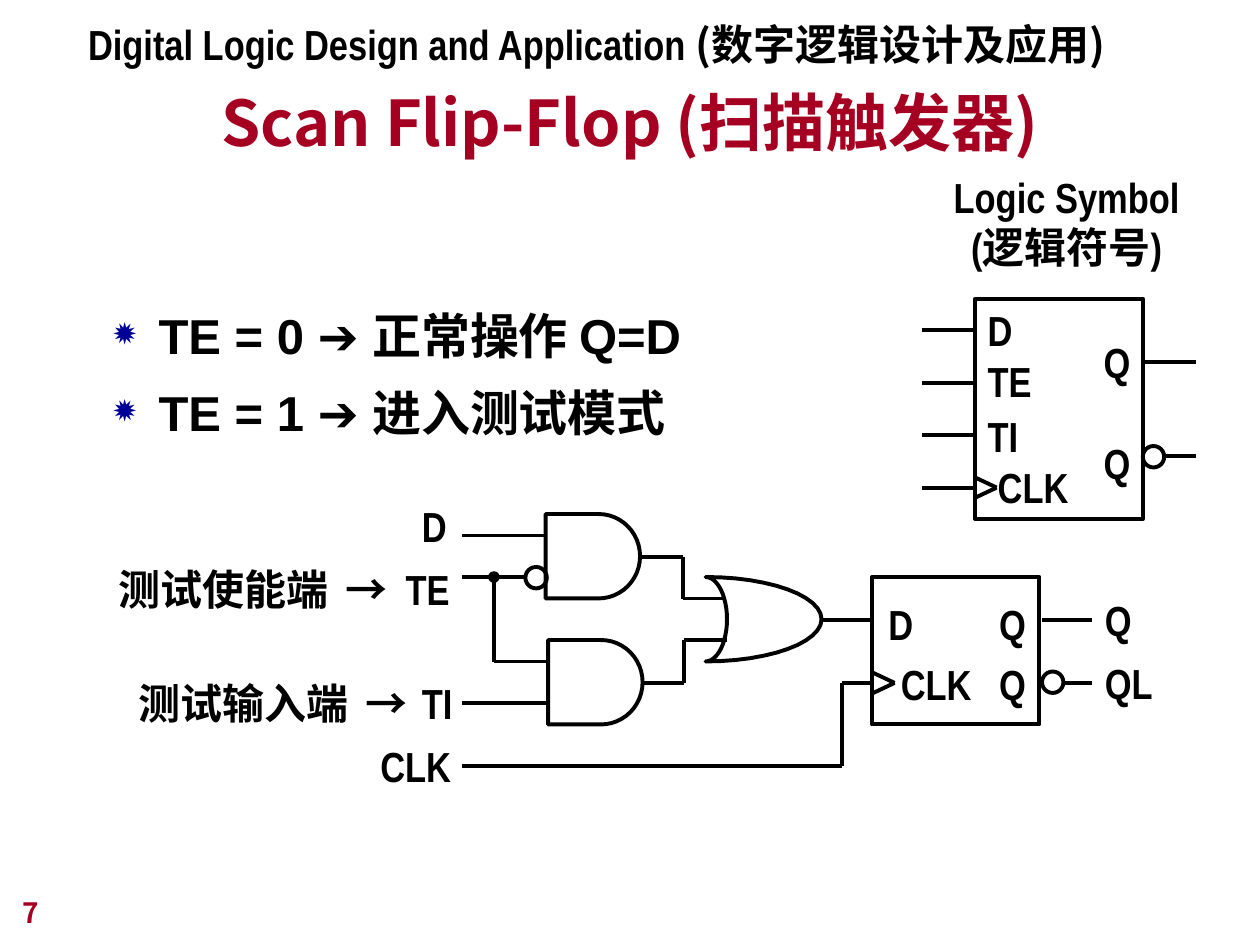
from math import cos, pi, sin

from lxml import etree
from pptx import Presentation
from pptx.dml.color import RGBColor
from pptx.enum.shapes import MSO_CONNECTOR as Connector, MSO_SHAPE as Shape
from pptx.enum.text import MSO_ANCHOR as Anchor, PP_ALIGN as Align
from pptx.oxml.ns import qn
from pptx.util import Inches, Pt

BLACK = RGBColor(0x00, 0x00, 0x00)
RED = RGBColor(0xA5, 0x00, 0x21)
BLUE = "000099"
NARROW, ARIAL, CJK = "Arial Narrow", "Arial", "Noto Sans CJK JP"
LINE = Pt(2.25)

presentation = Presentation()
presentation.slide_width, presentation.slide_height = Inches(10), Inches(7.5)
slide = presentation.slides.add_slide(presentation.slide_layouts[5])
shapes = slide.shapes


def add_run(paragraph, text, size=24, font=NARROW, color=BLACK):
    run = paragraph.add_run()
    run.text = text
    run.font.size, run.font.bold, run.font.name = Pt(size), True, font
    run.font.color.rgb = color
    east_asian = etree.SubElement(run.font._element, qn("a:ea"))
    east_asian.set("typeface", CJK)


def add_box(left, top, width, height, wrap=False):
    box = shapes.add_textbox(Inches(left), Inches(top), Inches(width), Inches(height))
    box.text_frame.word_wrap = wrap
    return box.text_frame


# Title
title = shapes.title
title.left, title.top = Inches(0.75), Inches(0.48)
title.width, title.height = Inches(8.5), Inches(0.83)
title.text_frame.vertical_anchor = Anchor.BOTTOM
title.text_frame.word_wrap = True
paragraph = title.text_frame.paragraphs[0]
paragraph.alignment = Align.CENTER
add_run(paragraph, "Scan Flip-Flop (扫描触发器)", 36, CJK, RED)

# Blocks: the D flip-flop and the logic symbol
# Each line: text, line spacing, left margin
blocks = [
    (6.92, 4.58, 1.17, 0.13, [("D\tQ", 1.3, 0), ("\tCLK\tQ", 1.2, 0)]),
    (7.74, 2.37, 1.75, 0.1,
     [("D", 1, 0), ("TE", 1, 0), ("TI", 1.1, 0), ("CLK", 1, 0.08)]),
]
for left, top, height, inset, lines in blocks:
    block = shapes.add_shape(Shape.RECTANGLE, Inches(left), Inches(top),
                             Inches(1.33), Inches(height))
    block.shadow.inherit = False
    block.fill.background()
    block.line.color.rgb, block.line.width = BLACK, LINE
    frame = block.text_frame
    frame.vertical_anchor = Anchor.TOP
    frame.margin_left, frame.margin_right = Inches(inset), 0
    for index, (text, spacing, margin) in enumerate(lines):
        paragraph = frame.add_paragraph() if index else frame.paragraphs[0]
        paragraph.alignment = Align.LEFT
        paragraph.line_spacing = float(spacing)
        properties = paragraph._p.get_or_add_pPr()
        properties.set("marL", str(Inches(margin)))
        if "\t" in text:
            stops = etree.SubElement(properties, qn("a:tabLst"))
            for position in ((0.1, 0.88) if index else (0.88,)):
                etree.SubElement(stops, qn("a:tab"), pos=str(Inches(position)), algn="l")
        add_run(paragraph, text)

# Gates: two AND outlines and one OR outline
STEPS = 24
sweep = [-pi / 2 + pi * step / STEPS for step in range(STEPS + 1)]
gates = []
for left, top in [(4.33, 4.08), (4.35, 5.08)]:
    arc = [(left + 0.42 + 0.33 * cos(a), top + 0.335 + 0.335 * sin(a)) for a in sweep]
    gates.append([(left, top)] + arc + [(left, top + 0.67)])
front, back = ([(5.6 + radius * cos(a), 4.915 + 0.335 * sin(a)) for a in sweep]
               for radius in (0.92, 0.17))
gates.append(front + back[::-1])
for points in gates:
    corners = [(Inches(x), Inches(y)) for x, y in points]
    builder = shapes.build_freeform(*corners[0])
    builder.add_line_segments(corners[1:], close=True)
    gate = builder.convert_to_shape()
    gate.shadow.inherit = False
    gate.fill.background()
    gate.line.color.rgb, gate.line.width = BLACK, LINE

# Inversion bubbles
for left, top in [(4.17, 4.5), (8.27, 5.33), (9.07, 3.54)]:
    bubble = shapes.add_shape(Shape.OVAL, Inches(left), Inches(top),
                              Inches(0.17), Inches(0.17))
    bubble.shadow.inherit = False
    bubble.fill.background()
    bubble.line.color.rgb, bubble.line.width = BLACK, LINE

# Wires
BRANCH = (3.92, 4.58, 3.92, 5.25)
wires = [
    # Inputs D, TE and TI, with the TE branch
    (3.67, 4.25, 4.33, 4.25), (3.67, 4.58, 4.17, 4.58), (3.67, 5.58, 4.35, 5.58),
    BRANCH, (3.92, 5.25, 4.35, 5.25),
    # AND outputs to the OR gate
    (5.09, 4.42, 5.42, 4.42), (5.42, 4.42, 5.42, 4.75), (5.42, 4.75, 5.75, 4.75),
    (5.1, 5.42, 5.43, 5.42), (5.43, 5.42, 5.43, 5.08), (5.43, 5.08, 5.77, 5.08),
    # Flip-flop data, clock and outputs
    (6.52, 4.92, 6.93, 4.92), (3.67, 6.08, 6.68, 6.08), (6.68, 6.08, 6.68, 5.42),
    (6.68, 5.42, 6.93, 5.42), (8.27, 4.92, 8.67, 4.92), (8.43, 5.42, 8.67, 5.42),
    # Logic symbol outputs
    (9.07, 2.87, 9.49, 2.87), (9.24, 3.62, 9.49, 3.62),
]
# Logic symbol inputs
wires += [(7.32, y, 7.74, y) for y in (2.62, 3.04, 3.45, 3.87)]
# Clock wedges
for x, y in [(6.93, 5.42), (7.74, 3.87)]:
    wires += [(x, y + side, x + 0.17, y) for side in (-0.08, 0.08)]
for wire in wires:
    connector = shapes.add_connector(Connector.STRAIGHT, *map(Inches, wire))
    connector.line.color.rgb, connector.line.width = BLACK, LINE
    etree.SubElement(connector._element.spPr, qn("a:effectLst"))
    if wire == BRANCH:
        etree.SubElement(connector.line._get_or_add_ln(), qn("a:headEnd"), type="oval")

# Signal labels
labels = [
    ("D", 3.25, 3.92, 0.39), ("TE", 3.12, 4.42, 0.55), ("TI", 3.25, 5.33, 0.44),
    ("CLK", 2.92, 5.83, 0.76), ("Q", 8.67, 4.67, 0.41), ("QL", 8.67, 5.17, 0.58),
]
for text, left, top, width in labels:
    add_run(add_box(left, top, width, 0.5).paragraphs[0], text)

# Logic symbol outputs
frame = add_box(8.66, 2.62, 0.41, 1.3)
add_run(frame.paragraphs[0], "Q")
paragraph = frame.add_paragraph()
paragraph.space_before = Pt(29)
add_run(paragraph, "Q")

# Logic symbol caption
frame = add_box(7.47, 1.31, 1.99, 0.9)
for index, text in enumerate(["Logic Symbol", "(逻辑符号)"]):
    paragraph = frame.add_paragraph() if index else frame.paragraphs[0]
    paragraph.alignment = Align.CENTER
    add_run(paragraph, text)

# Input descriptions with arrows
for text, left, top in [("测试使能端", 0.84, 4.42), ("测试输入端", 1, 5.33)]:
    paragraph = add_box(left, top, 2.35, 0.5, wrap=True).paragraphs[0]
    stops = etree.SubElement(paragraph._p.get_or_add_pPr(), qn("a:tabLst"))
    etree.SubElement(stops, qn("a:tab"), pos=str(Inches(1.8)), algn="l")
    add_run(paragraph, text + "\t")
    add_run(paragraph, "→", font=ARIAL)

# Operating modes
frame = add_box(0.8, 2.33, 4.98, 1.23)
for index, text in enumerate(["TE = 0 ➔ 正常操作 Q=D", "TE = 1 ➔ 进入测试模式"]):
    paragraph = frame.add_paragraph() if index else frame.paragraphs[0]
    paragraph.line_spacing = 1.1
    if index:
        paragraph.space_before = Pt(7)
    properties = paragraph._p.get_or_add_pPr()
    properties.set("marL", str(Inches(0.36)))
    properties.set("indent", str(Inches(-0.36)))
    bullet_color = etree.SubElement(properties, qn("a:buClr"))
    etree.SubElement(bullet_color, qn("a:srgbClr"), val=BLUE)
    etree.SubElement(properties, qn("a:buSzPct"), val="80000")
    etree.SubElement(properties, qn("a:buChar"), char="✹")
    add_run(paragraph, text, 28, ARIAL)

# Course header
paragraph = add_box(0.6, 0.1, 8.41, 0.5, wrap=True).paragraphs[0]
add_run(paragraph, "Digital Logic Design and Application ")
add_run(paragraph, "(数字逻辑设计及应用)", font=CJK)

# Slide number
frame = add_box(0.08, 6.92, 2.08, 0.5, wrap=True)
frame.vertical_anchor = Anchor.BOTTOM
add_run(frame.paragraphs[0], "7", 16, CJK, RED)

presentation.save("out.pptx")
